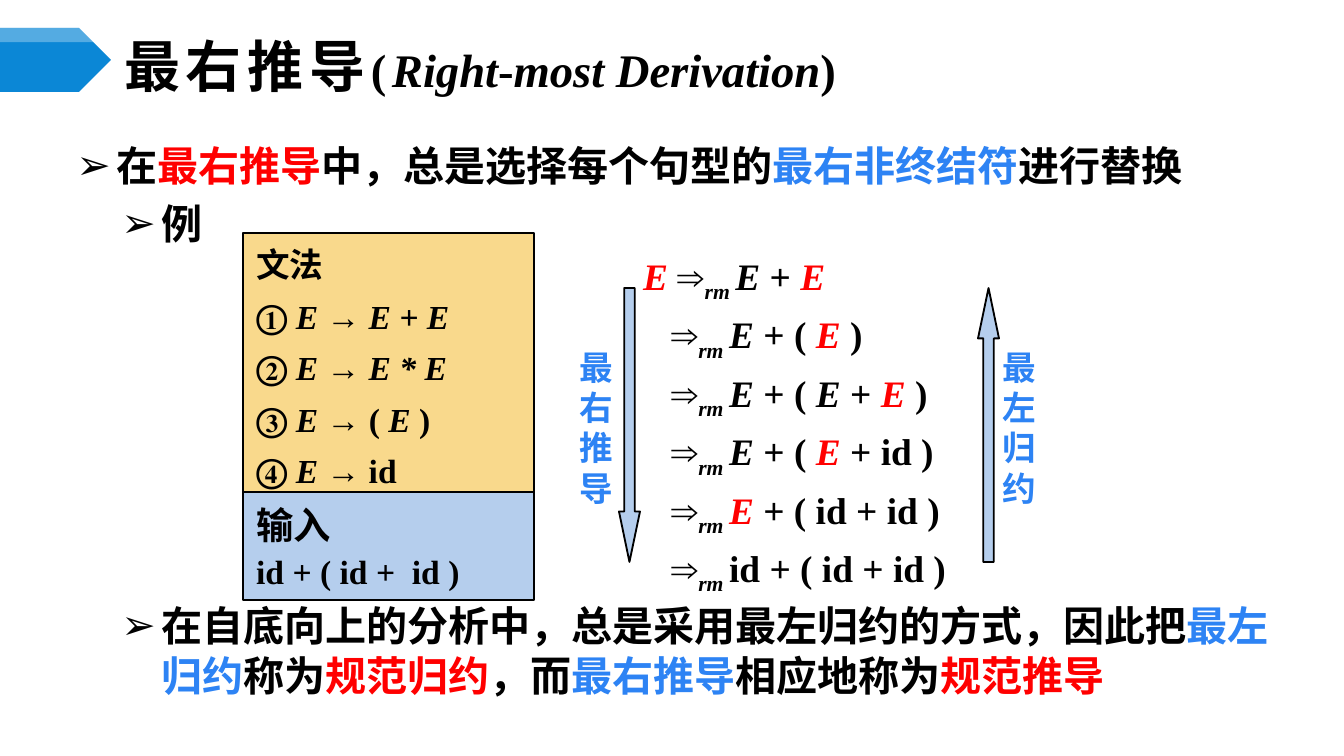
"""Build the slide on right-most derivation."""
import lxml.etree
import pptx
import pptx.dml.color
import pptx.enum.shapes
import pptx.enum.text
import pptx.oxml.ns
import pptx.util

PX = 914400 / 134.4
SANS, SERIF, CJK = "Arial", "Times New Roman", "Noto Sans CJK SC"
BLACK, RED, BLUE, PALE_BLUE = "000000", "FF0000", "2D83F4", "B5CEED"
SHAPES = pptx.enum.shapes.MSO_SHAPE
ALIGN = pptx.enum.text.PP_ALIGN
PLAIN = {}
ITALIC = {"italic": True}
IN_RED = {"color": RED}
IN_BLUE = {"color": BLUE}
TARGET = {"color": RED, "italic": True}
ARROW = ("⇒", PLAIN)
RM = ("rm ", {"italic": True, "baseline": -25})


def px(length):
    """Turn pixels into EMU."""
    return pptx.util.Emu(round(length * PX))


def rgb(code):
    """Turn a hex string into a colour."""
    return pptx.dml.color.RGBColor.from_string(code)


def child(parent, tag, **attributes):
    """Append a DrawingML element."""
    return lxml.etree.SubElement(parent, pptx.oxml.ns.qn(tag), **attributes)


def add_run(paragraph, text, face, size, color=BLACK, italic=False, baseline=0, spacing=0):
    """Add one bold run with its formatting."""
    run = paragraph.add_run()
    run.text = text
    run.font.name = face
    run.font.size = pptx.util.Pt(size)
    run.font.bold = True
    run.font.italic = italic
    run.font.color.rgb = rgb(color)
    properties = run.font._element
    properties.find(pptx.oxml.ns.qn("a:latin")).addnext(
        properties.makeelement(pptx.oxml.ns.qn("a:ea"), {"typeface": CJK}))
    if baseline:
        properties.set("baseline", str(baseline * 1000))
    if spacing:
        properties.set("spc", str(spacing * 100))


def indent(paragraph, left, first=0, bullet=None):
    """Set the indents in px and an optional bullet."""
    properties = paragraph._p.get_or_add_pPr()
    properties.set("marL", str(px(left)))
    properties.set("indent", str(px(first)))
    if bullet:
        child(child(properties, "a:buClr"), "a:srgbClr", val=BLACK)
        child(properties, "a:buFont", typeface=SANS)
        child(properties, "a:buChar", char=bullet)


def write_lines(frame, lines, face, size, leading, gap=0, align=ALIGN.LEFT):
    """Write one paragraph per list of (text, style) parts."""
    frame.word_wrap = True
    frame.auto_size = pptx.enum.text.MSO_AUTO_SIZE.NONE
    frame.vertical_anchor = pptx.enum.text.MSO_ANCHOR.TOP
    for number, parts in enumerate(lines):
        paragraph = frame.add_paragraph() if number else frame.paragraphs[0]
        paragraph.alignment = align
        paragraph.line_spacing = pptx.util.Pt(leading)
        paragraph.space_before = pptx.util.Pt(gap if number else 0)
        for text, style in parts:
            add_run(paragraph, text, **{"face": face, "size": size, **style})
    return frame.paragraphs


def place(shape, left, top, width, height):
    """Move and size a shape in px."""
    shape.left, shape.top = px(left), px(top)
    shape.width, shape.height = px(width), px(height)


def add_block(slide, kind, box, fill, outlined=True):
    """Add a filled preset shape."""
    block = slide.shapes.add_shape(kind, *map(px, box))
    block.shadow.inherit = False
    block.fill.solid()
    block.fill.fore_color.rgb = rgb(fill)
    if outlined:
        block.line.color.rgb = rgb(BLACK)
        block.line.width = pptx.util.Pt(1)
    else:
        block.line.fill.background()
    return block


def add_text(slide, box, lines, face, size, leading, align=ALIGN.LEFT):
    """Add a text box and return its paragraphs."""
    frame = slide.shapes.add_textbox(*map(px, box)).text_frame
    return write_lines(frame, lines, face, size, leading, align=align)


def add_banner(slide):
    """Add the pentagon with its light upper band."""
    add_block(slide, SHAPES.PENTAGON, (0, 28, 111, 64), "0B87D6", outlined=False)
    band = add_block(slide, SHAPES.PENTAGON, (0, 28, 111, 14), "FFFFFF", outlined=False)
    color = band._element.spPr.find(".//" + pptx.oxml.ns.qn("a:srgbClr"))
    child(color, "a:alpha", val="30000")


def fill_title(title):
    """Place and write the title."""
    place(title, 111, 39, 1165, 52)
    frame = title.text_frame
    frame.auto_size = pptx.enum.text.MSO_AUTO_SIZE.NONE
    frame.vertical_anchor = pptx.enum.text.MSO_ANCHOR.MIDDLE
    heading = frame.paragraphs[0]
    heading.alignment = ALIGN.LEFT
    add_run(heading, "最右推导", CJK, 30, spacing=3)
    add_run(heading, "(", SERIF, 25, spacing=3)
    add_run(heading, "Right", SERIF, 25, italic=True)
    add_run(heading, "-", SERIF, 25)
    add_run(heading, "most Derivation", SERIF, 25, italic=True)
    add_run(heading, ")", SERIF, 25, spacing=3)


def fill_body(body):
    """Place and write the bulleted statements."""
    place(body, 63, 134, 1250, 583)
    statements = write_lines(body.text_frame, [
        [("在", PLAIN), ("最右推导", IN_RED), ("中，总是选择每个句型的", PLAIN),
         ("最右非终结符", IN_BLUE), ("进行替换", PLAIN)],
        [("例", PLAIN)],
        [("在自底向上的分析中，总是采用最左归约的方式，因此把", PLAIN),
         ("最左归约", IN_BLUE), ("称为", PLAIN), ("规范归约", IN_RED), ("，而", PLAIN),
         ("最右推导", IN_BLUE), ("相应地称为", PLAIN), ("规范推导", IN_RED)],
    ], SANS, 22, 26.5, gap=4.4)
    for level, statement in zip((0, 1, 1), statements):
        statement.level = level
        indent(statement, 85 if level else 40, -40, "➢")
    statements[-1].space_before = pptx.util.Pt(189)


def add_grammar(slide):
    """Add the input box and the grammar box."""
    given = add_block(slide, SHAPES.RECTANGLE, (243, 492, 291, 108), PALE_BLUE)
    given.text_frame.margin_top = px(10)
    write_lines(given.text_frame, [
        [("输入", {"face": CJK, "size": 20})],
        [("id + ( id +  id )", PLAIN)],
    ], SERIF, 18, 24)
    grammar = add_block(slide, SHAPES.RECTANGLE, (243, 233, 291, 259), "F9D98C")
    write_lines(grammar.text_frame, [
        [("文法", PLAIN)],
        [("① ", PLAIN), ("E → E + E", ITALIC)],
        [("② ", PLAIN), ("E → E * E", ITALIC)],
        [("③", PLAIN), (" E → ", ITALIC), ("( ", PLAIN), ("E ", ITALIC), (")", PLAIN)],
        [("④ ", PLAIN), ("E → ", ITALIC), ("id", PLAIN)],
    ], SERIF, 18, 24, gap=3.6, align=ALIGN.JUSTIFY)


def add_derivation(slide):
    """Add the derivation steps, aligned on the double arrows."""
    steps = add_text(slide, (630, 239, 348, 366), [
        [("E ", TARGET), ARROW, RM, ("E ", ITALIC), ("+ ", PLAIN), ("E", TARGET)],
        [ARROW, RM, ("E", ITALIC), (" + ( ", PLAIN), ("E ", TARGET), (")", PLAIN)],
        [ARROW, RM, ("E", ITALIC), (" + ( ", PLAIN), ("E", ITALIC), (" + ", PLAIN),
         ("E ", TARGET), (")", PLAIN)],
        [ARROW, RM, ("E", ITALIC), (" + ( ", PLAIN), ("E ", TARGET), ("+ id )", PLAIN)],
        [ARROW, RM, ("E ", TARGET), ("+ ( id + id )", PLAIN)],
        [ARROW, RM, ("id + ( id + id )", PLAIN)],
    ], SERIF, 20, 31.3)
    for step in steps[1:]:
        indent(step, 28)


def add_direction(slide, label, label_left, arrow_left, rotation):
    """Add a tall arrow and its vertical label."""
    arrow = add_block(slide, SHAPES.DOWN_ARROW, (arrow_left, 288, 21, 274), PALE_BLUE)
    arrow.adjustments[0], arrow.adjustments[1] = 0.5, 2.4
    arrow.rotation = rotation
    add_text(slide, (label_left, 340, 64, 176), [[(sign, IN_BLUE)] for sign in label],
             CJK, 18, 21.6, ALIGN.CENTER)


def main():
    """Build and save the slide."""
    deck = pptx.Presentation()
    deck.slide_width, deck.slide_height = px(1344), px(756)
    slide = deck.slides.add_slide(deck.slide_layouts[1])
    add_banner(slide)
    fill_title(slide.shapes.title)
    fill_body(slide.placeholders[1])
    add_grammar(slide)
    add_derivation(slide)
    add_direction(slide, "最右推导", 564, 619, 0)
    add_direction(slide, "最左归约", 987, 978, 180)
    deck.save("out.pptx")


if __name__ == "__main__":
    main()
